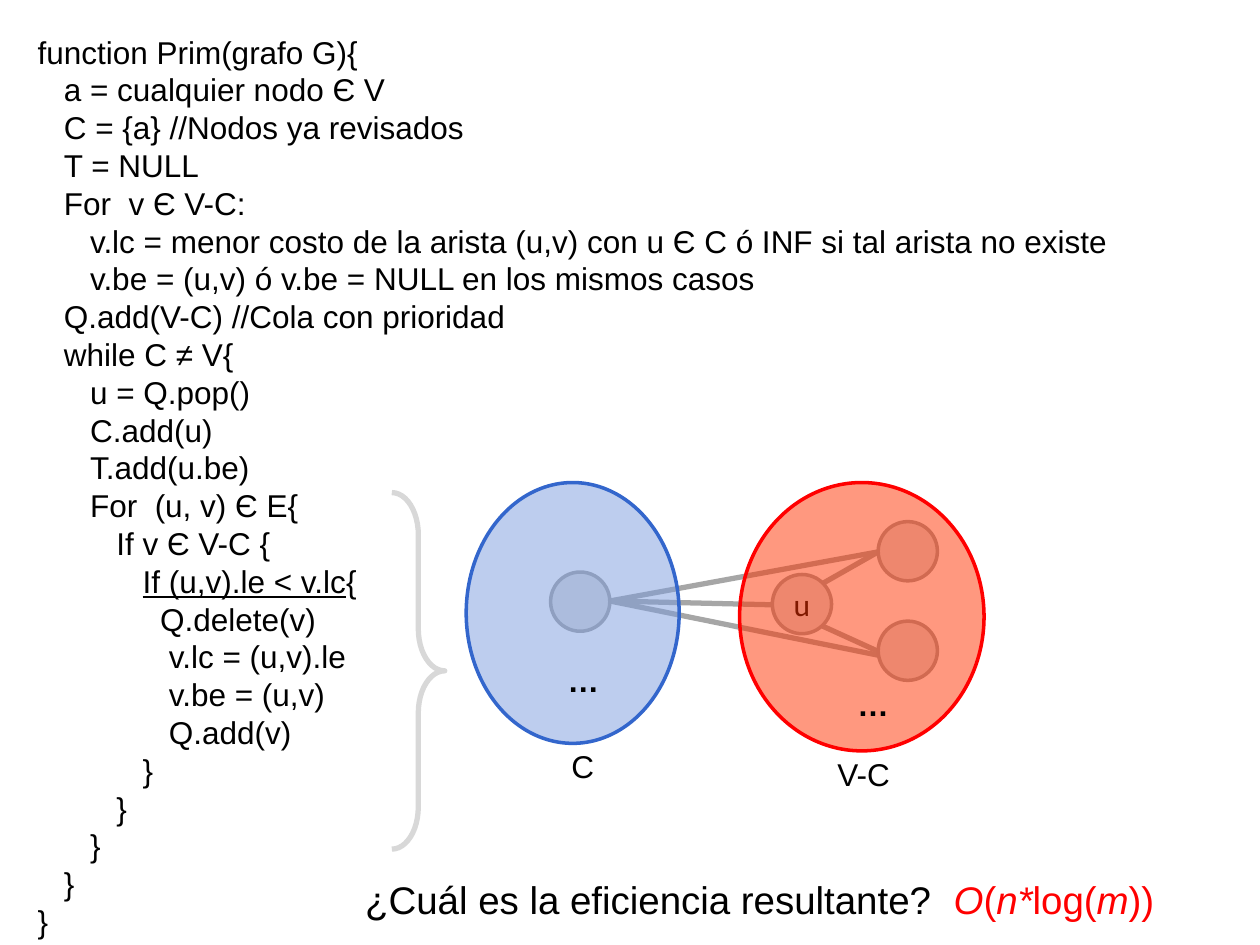
import pptx
import pptx.util
import pptx.dml.color
import pptx.enum.shapes
import pptx.enum.text
import pptx.oxml.ns
from dataclasses import dataclass
from lxml import etree

Inches = pptx.util.Inches
Pt = pptx.util.Pt
Shape = pptx.enum.shapes.MSO_SHAPE
Align = pptx.enum.text.PP_ALIGN
qn = pptx.oxml.ns.qn


@dataclass(frozen=True)
class Theme:
    ink: str = "000000"
    accent: str = "FF0000"
    node_fill: str = "DDDDDD"
    node_line: str = "A3A3A3"
    edge: str = "A6A6A6"
    brace: str = "D8D8D8"
    visited_fill: str = "7C9DDE"
    visited_line: str = "3366CC"
    pending_fill: str = "FF3300"
    font: str = "Arial"
    node_font: str = "Calibri"
    body: int = 18
    question: int = 22
    thin: int = 2
    thick: int = 3


THEME = Theme()
SPACE = 0.0695
NODE = 0.47
CODE = [
    (0, "function Prim(grafo G){"),
    (3, "a = cualquier nodo Є V"),
    (3, "C = {a} //Nodos ya revisados"),
    (3, "T = NULL"),
    (3, "For  v Є V-C:"),
    (6, "v.lc = menor costo de la arista (u,v) con u Є C ó INF si tal arista no existe"),
    (6, "v.be = (u,v) ó v.be = NULL en los mismos casos"),
    (3, "Q.add(V-C) //Cola con prioridad"),
    (3, "while C ≠ V{"),
    (6, "u = Q.pop()"),
    (6, "C.add(u)"),
    (6, "T.add(u.be)"),
    (6, "For  (u, v) Є E{"),
    (9, "If v Є V-C {"),
    (12, "If (u,v).le < v.lc", "{"),
    (14, "Q.delete(v)"),
    (15, "v.lc = (u,v).le"),
    (15, "v.be = (u,v)"),
    (15, "Q.add(v)"),
    (12, "}"),
    (9, "}"),
    (6, "}"),
    (3, "}"),
    (0, "}"),
]


def rgb(color):
    return pptx.dml.color.RGBColor.from_string(color)


def add_run(paragraph, text, size=THEME.body, color=THEME.ink, font=THEME.font, **style):
    run = paragraph.add_run()
    run.text = text
    run.font.size = Pt(size)
    run.font.name = font
    run.font.color.rgb = rgb(color)
    for name, value in style.items():
        setattr(run.font, name, value)


def add_text(slide, box, align=Align.LEFT, wrap=True):
    frame = slide.shapes.add_textbox(*map(Inches, box)).text_frame
    frame.word_wrap = wrap
    frame.paragraphs[0].alignment = align
    return frame


def add_figure(slide, preset, box, line, width, fill=None, alpha=None):
    figure = slide.shapes.add_shape(preset, *map(Inches, box))
    figure.shadow.inherit = False
    figure.line.color.rgb = rgb(line)
    figure.line.width = Pt(width)
    if fill is None:
        figure.fill.background()
    else:
        figure.fill.solid()
        figure.fill.fore_color.rgb = rgb(fill)
    if alpha is not None:
        tint = figure.fill._xPr.find(qn("a:solidFill"))[0]
        etree.SubElement(tint, qn("a:alpha")).set("val", str(alpha * 1000))
    return figure


def add_edge(slide, start, end):
    edge = slide.shapes.add_connector(
        pptx.enum.shapes.MSO_CONNECTOR.STRAIGHT, *map(Inches, start + end))
    edge.line.color.rgb = rgb(THEME.edge)
    edge.line.width = Pt(THEME.thick)
    etree.SubElement(edge._element.spPr, qn("a:effectLst"))


def build_code(slide, box):
    frame = add_text(slide, box)
    for number, (indent, *pieces) in enumerate(CODE):
        line = frame.add_paragraph() if number else frame.paragraphs[0]
        line.alignment = Align.JUSTIFY
        line.line_spacing = Pt(21.6)
        line._p.get_or_add_pPr().set("marL", str(Inches(indent * SPACE)))
        for position, piece in enumerate(pieces):
            underlined = len(pieces) > 1 and position == 0
            add_run(line, piece, underline=underlined)


def build_graph(slide, left, top):
    def at(x, y):
        return left + x, top + y

    hub = at(1.14, 0.94)
    upper, lower = at(3.27, 0.55), at(3.27, 1.34)
    for start, end in [
        (upper, hub), (at(3.27, 1.37), hub), (at(2.43, 0.97), hub),
        (upper, at(2.83, 0.8)), (lower, at(2.83, 1.14)),
    ]:
        add_edge(slide, start, end)

    for x, y, label in [(3.27, 0.31, ""), (0.67, 0.71, ""), (3.27, 1.1, ""), (2.43, 0.73, "u")]:
        node = add_figure(slide, Shape.OVAL, (*at(x, y), NODE, NODE),
                          THEME.node_line, THEME.thin, THEME.node_fill)
        if label:
            node.text_frame.vertical_anchor = pptx.enum.text.MSO_ANCHOR.MIDDLE
            name = node.text_frame.paragraphs[0]
            name.alignment = Align.CENTER
            add_run(name, label, font=THEME.node_font)

    for x, width, height, fill, line, name, name_at, dots_at in [
        (0, 1.69, 2.07, THEME.visited_fill, THEME.visited_line, "C", (0.49, 2.05), (0.58, 1.37)),
        (2.17, 1.94, 2.13, THEME.pending_fill, THEME.accent, "V-C", (2.72, 2.11), (2.88, 1.56)),
    ]:
        add_figure(slide, Shape.OVAL, (*at(x, 0), width, height), line, THEME.thin, fill, 50)
        caption = add_text(slide, (*at(*name_at), 0.87, 0.4), Align.CENTER)
        add_run(caption.paragraphs[0], name)
        dots = add_text(slide, (*at(*dots_at), 0.7, 0.4), Align.CENTER)
        add_run(dots.paragraphs[0], "…", bold=True)


def build_brace(slide, box):
    brace = add_figure(slide, Shape.RIGHT_BRACE, box, THEME.brace, THEME.thick)
    brace.adjustments[0] = 0.796
    brace.adjustments[1] = 0.5


def build_question(slide, left, top):
    question = add_text(slide, (left, top, 4.75, 0.47), Align.JUSTIFY, wrap=False)
    add_run(question.paragraphs[0], "¿Cuál es la eficiencia resultante?", THEME.question)
    answer = add_text(slide, (left + 4.67, top, 2.28, 0.47))
    for position, piece in enumerate(["O", "(", "n*", "log(", "m", "))"]):
        add_run(answer.paragraphs[0], piece, THEME.question, THEME.accent,
                italic=position % 2 == 0)


deck = pptx.Presentation()
deck.slide_width, deck.slide_height = Inches(10), Inches(7.5)
prim = deck.slides.add_slide(deck.slide_layouts[6])
build_code(prim, (0.2, 0.21, 9.69, 7.29))
build_question(prim, 2.8, 6.9)
build_graph(prim, 3.7, 3.83)
build_brace(prim, (3.11, 3.91, 0.42, 2.83))
deck.save("out.pptx")
